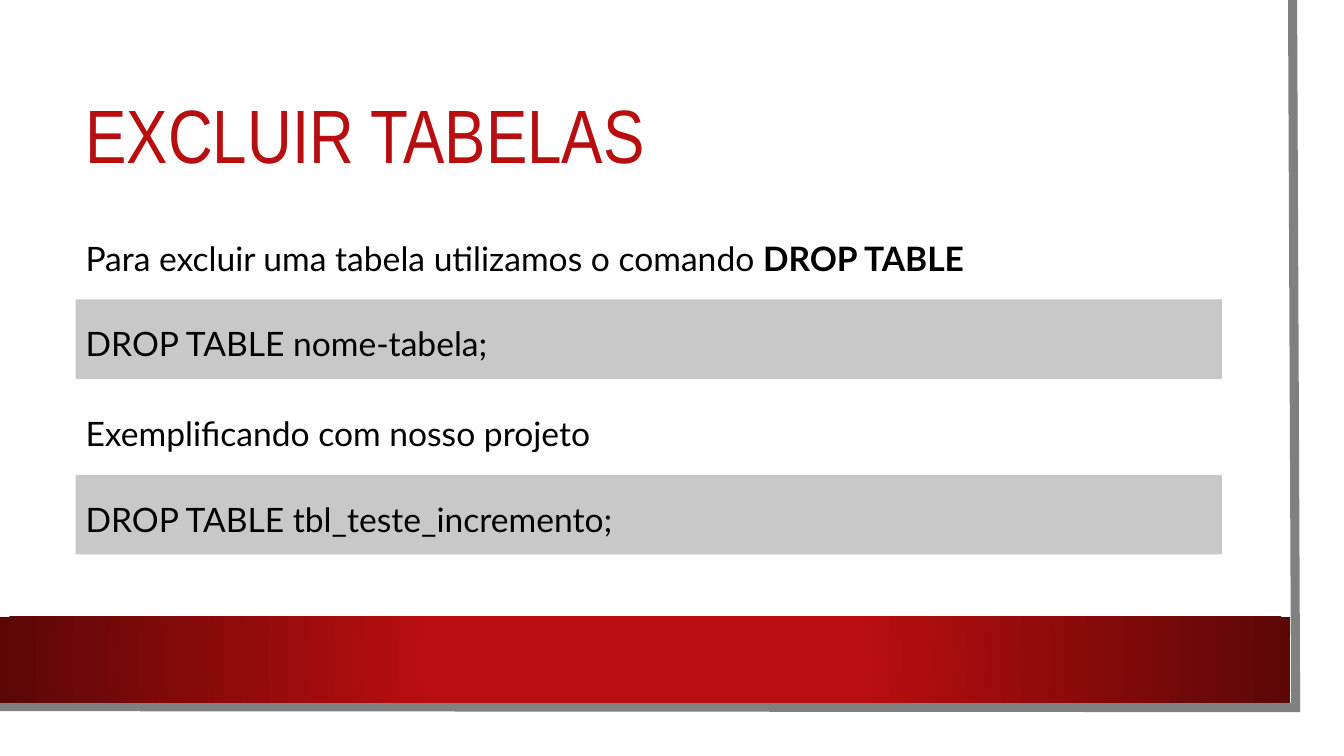
from lxml import etree
from pptx import Presentation
from pptx.dml.color import RGBColor
from pptx.enum import shapes, text
from pptx.oxml import parse_xml
from pptx.oxml.ns import nsdecls, qn
from pptx.util import Inches, Pt

RED = RGBColor(0xB8, 0x0E, 0x0F)
DARK_RED = RGBColor(0x5C, 0x07, 0x07)
EDGE_GRAY = RGBColor(0x80, 0x80, 0x80)
CODE_GRAY = RGBColor(0xC8, 0xC8, 0xC8)
WHITE = RGBColor(0xFF, 0xFF, 0xFF)
BLACK = RGBColor(0, 0, 0)

LEFT, WIDTH = 0.75, 11.37
INTRO_HEIGHT, CODE_HEIGHT, CODE_OFFSET = 0.55, 0.79, 0.75
FIRST_STEP, STEP_PITCH = 2.22, 1.74


def place(shape, left, top, width, height):
    shape.left, shape.top = Inches(left), Inches(top)
    shape.width, shape.height = Inches(width), Inches(height)


def write(shape, runs, size=24, font="Lato", color=BLACK, spacing=1.2,
          align=text.PP_ALIGN.JUSTIFY, anchor=text.MSO_ANCHOR.MIDDLE,
          auto_size=text.MSO_AUTO_SIZE.NONE):
    """Write one paragraph of (words, bold) runs."""
    frame = shape.text_frame
    frame.word_wrap = True
    frame.auto_size = auto_size
    frame.vertical_anchor = anchor
    paragraph = frame.paragraphs[0]
    properties = paragraph._p.get_or_add_pPr()
    properties.set("marL", "0")
    properties.set("indent", "0")
    etree.SubElement(properties, qn("a:buNone"))
    paragraph.alignment = align
    paragraph.line_spacing = spacing
    paragraph.space_before = Pt(0)
    for words, bold in runs:
        run = paragraph.add_run()
        run.text = words
        run.font.size, run.font.name = Pt(size), font
        run.font.bold = bold
        run.font.color.rgb = color


def add_block(slide, left, top, width, height, color):
    block = slide.shapes.add_shape(
        shapes.MSO_SHAPE.RECTANGLE,
        Inches(left), Inches(top), Inches(width), Inches(height))
    block.shadow.inherit = False
    block.fill.solid()
    block.fill.fore_color.rgb = color
    block.line.fill.background()
    return block


def add_backdrop(slide, width, height):
    """White sheet with a gray edge at right and bottom, and a red band."""
    sheet = add_block(slide, 0, 0, width, height, WHITE)

    # Sheet edge
    right, bottom = width - 0.25, height - 0.25
    builder = slide.shapes.build_freeform(
        Inches(right - 0.03), 0, scale=1.0)
    builder.add_line_segments(
        [(Inches(right), Inches(bottom)),
         (Inches(-0.03), Inches(bottom - 0.01))], close=False)
    edge = builder.convert_to_shape()
    edge.shadow.inherit = False
    edge.fill.background()
    edge.line.color.rgb = EDGE_GRAY
    edge.line.width = Pt(6.5)
    etree.SubElement(edge.line._ln, qn("a:miter")).set("lim", "800000")

    # Red band, darker towards its ends
    band = add_block(slide, 0, height - 1.15, width - 0.3, 0.85, RED)
    solid = band._element.spPr.find(qn("a:solidFill"))
    solid.getparent().replace(solid, parse_xml(
        f'<a:gradFill {nsdecls("a")} rotWithShape="1"><a:gsLst>'
        f'<a:gs pos="34000"><a:srgbClr val="{RED}"/></a:gs>'
        f'<a:gs pos="100000"><a:srgbClr val="{DARK_RED}"/></a:gs>'
        '</a:gsLst><a:path path="circle"><a:fillToRect l="50000" t="50000" '
        'r="50000" b="50000"/></a:path></a:gradFill>'))

    # Behind the placeholders
    tree = slide.shapes._spTree
    for position, part in enumerate((sheet, edge, band), start=2):
        tree.insert(position, part._element)


def add_title(slide, words, left, top, width, height):
    title = slide.shapes.title
    place(title, left, top, width, height)
    write(title, [(words, False)], size=54, font="Arial Narrow", color=RED,
          spacing=0.9, align=text.PP_ALIGN.LEFT)


def add_step(slide, intro_runs, command, left, top, width, body=None):
    """An introduction line above a gray code bar."""
    code_top = top + CODE_OFFSET
    if body is None:
        code = add_block(slide, left, code_top, width, CODE_HEIGHT, CODE_GRAY)
    else:
        code = body
        place(code, left, code_top, width, CODE_HEIGHT)
        code.fill.solid()
        code.fill.fore_color.rgb = CODE_GRAY
    write(code, [(command, False)])

    intro = slide.shapes.add_textbox(
        Inches(left), Inches(top), Inches(width), Inches(INTRO_HEIGHT))
    write(intro, intro_runs, spacing=Pt(35), anchor=text.MSO_ANCHOR.TOP,
          auto_size=text.MSO_AUTO_SIZE.SHAPE_TO_FIT_TEXT)


def main():
    deck = Presentation()
    deck.slide_width, deck.slide_height = Inches(13.33), Inches(7.5)
    slide = deck.slides.add_slide(deck.slide_layouts[1])

    add_backdrop(slide, 13.1, 7.27)
    add_title(slide, "EXCLUIR TABELAS", LEFT, 0.75, WIDTH, 1.26)

    steps = [
        ([("Para excluir uma tabela utilizamos o comando ", False),
          ("DROP TABLE", True)],
         "DROP TABLE nome-tabela;", slide.placeholders[1]),
        ([("Exemplificando com nosso projeto", False)],
         "DROP TABLE tbl_teste_incremento;", None),
    ]
    for number, (intro_runs, command, body) in enumerate(steps):
        add_step(slide, intro_runs, command, LEFT,
                 FIRST_STEP + number * STEP_PITCH, WIDTH, body)

    deck.save("out.pptx")


if __name__ == "__main__":
    main()
